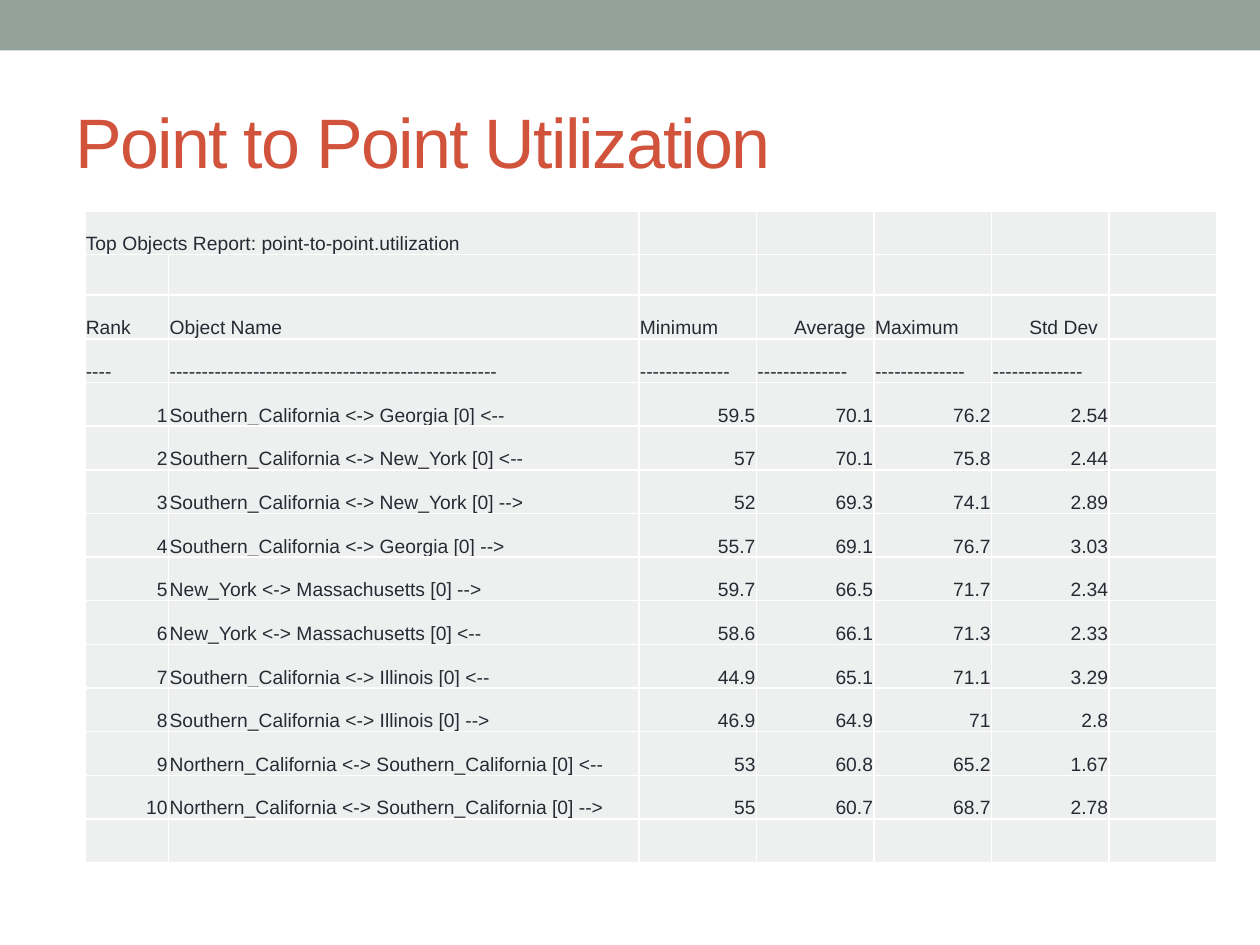
import pptx
import pptx.dml.color
import pptx.enum.shapes
import pptx.enum.text
import pptx.oxml
import pptx.oxml.ns
import pptx.util

Cm, Pt = pptx.util.Cm, pptx.util.Pt
RGBColor = pptx.dml.color.RGBColor
PP_ALIGN = pptx.enum.text.PP_ALIGN
MSO_ANCHOR = pptx.enum.text.MSO_ANCHOR

# Content
TITLE = "Point to Point Utilization"
REPORT_NAME = "Top Objects Report: point-to-point.utilization"
HEADINGS = ["Rank", "Object Name", "Minimum", "Average", "Maximum", "Std Dev"]
RULE_LENGTHS = [4, 51, 14, 14, 14, 14]
LINKS = [
    ("Southern_California <-> Georgia [0] <--", "59.5", "70.1", "76.2", "2.54"),
    ("Southern_California <-> New_York [0] <--", "57", "70.1", "75.8", "2.44"),
    ("Southern_California <-> New_York [0] -->", "52", "69.3", "74.1", "2.89"),
    ("Southern_California <-> Georgia [0] -->", "55.7", "69.1", "76.7", "3.03"),
    ("New_York <-> Massachusetts [0] -->", "59.7", "66.5", "71.7", "2.34"),
    ("New_York <-> Massachusetts [0] <--", "58.6", "66.1", "71.3", "2.33"),
    ("Southern_California <-> Illinois [0] <--", "44.9", "65.1", "71.1", "3.29"),
    ("Southern_California <-> Illinois [0] -->", "46.9", "64.9", "71", "2.8"),
    ("Northern_California <-> Southern_California [0] <--", "53", "60.8", "65.2", "1.67"),
    ("Northern_California <-> Southern_California [0] -->", "55", "60.7", "68.7", "2.78"),
]

# Format
FONT = "Arial"
SAGE = RGBColor(0x93, 0xA2, 0x99)
RED = RGBColor(0xD2, 0x53, 0x3C)
INK = RGBColor(0x29, 0x29, 0x34)
PALE = RGBColor(0xEE, 0xF0, 0xEF)
WHITE = RGBColor(0xFF, 0xFF, 0xFF)
COLUMN_WIDTHS = [1.69, 9.48, 2.37, 2.37, 2.37, 2.37, 2.17]
ROW_HEIGHT, SPACER_HEIGHT = 0.88, 0.82
INDENTED_HEADINGS = ("Average", "Std Dev")


def write(frame, text, size, color, align=PP_ALIGN.LEFT, spacing=None, indent=None):
    paragraph = frame.paragraphs[0]
    paragraph.alignment = align
    if indent is not None:
        paragraph_format = paragraph._p.get_or_add_pPr()
        paragraph_format.set("marL", str(indent))
        paragraph_format.set("indent", "0")
    run = paragraph.add_run()
    run.text = text
    run.font.name = FONT
    run.font.size = Pt(size)
    run.font.color.rgb = color
    if spacing is not None:
        run._r.get_or_add_rPr().set("spc", str(round(spacing * 100)))


def format_cell(cell):
    cell.margin_left = cell.margin_right = cell.margin_top = Cm(0.02)
    cell.margin_bottom = 0
    cell.vertical_anchor = MSO_ANCHOR.BOTTOM
    properties = cell._tc.get_or_add_tcPr()
    for side in ("lnL", "lnR", "lnT", "lnB"):
        properties.append(pptx.oxml.parse_xml(
            f'<a:{side} {pptx.oxml.ns.nsdecls("a")} w="{Pt(1)}"><a:solidFill>'
            f'<a:srgbClr val="{WHITE}"/></a:solidFill></a:{side}>'))
    cell.fill.solid()
    cell.fill.fore_color.rgb = PALE


def add_band(slide, width):
    band = slide.shapes.add_shape(
        pptx.enum.shapes.MSO_SHAPE.RECTANGLE, 0, 0, width, Cm(1.02))
    band.shadow.inherit = False
    band.fill.solid()
    band.fill.fore_color.rgb = SAGE
    band.line.fill.background()


def add_title(slide):
    title = slide.shapes.title
    title.left, title.top, title.width, title.height = Cm(1.27), Cm(1.47), Cm(22.86), Cm(2.74)
    title.text_frame.vertical_anchor = MSO_ANCHOR.MIDDLE
    write(title.text_frame, TITLE, size=40, color=RED, spacing=-1)


def add_report(slide):
    rules = ["-" * length for length in RULE_LENGTHS]
    ranked = [(str(rank), *link) for rank, link in enumerate(LINKS, start=1)]
    rows = [[REPORT_NAME], [], HEADINGS, rules, *ranked, []]
    heights = [ROW_HEIGHT] * len(rows)
    heights[1] = SPACER_HEIGHT

    table = slide.shapes.add_table(
        len(rows), len(COLUMN_WIDTHS), Cm(1.71), Cm(4.25),
        Cm(sum(COLUMN_WIDTHS)), Cm(sum(heights))).table
    table.first_row = table.horz_banding = False
    for column, width in zip(table.columns, COLUMN_WIDTHS):
        column.width = Cm(width)
    for row, height in zip(table.rows, heights):
        row.height = Cm(height)
    for cell in table.iter_cells():
        format_cell(cell)
    table.cell(0, 0).merge(table.cell(0, 1))

    # Ranks and figures align right; headings, rules and names align left
    for row_index, values in enumerate(rows):
        for column_index, text in enumerate(values):
            is_figure = values in ranked and column_index != 1
            write(table.cell(row_index, column_index).text_frame, text, size=11, color=INK,
                  align=PP_ALIGN.RIGHT if is_figure else PP_ALIGN.LEFT,
                  indent=Cm(0.74) if text in INDENTED_HEADINGS else None)


def main():
    presentation = pptx.Presentation()
    presentation.slide_width, presentation.slide_height = Cm(25.4), Cm(19.05)
    slide = presentation.slides.add_slide(presentation.slide_layouts[5])
    add_band(slide, presentation.slide_width)
    add_title(slide)
    add_report(slide)
    presentation.save("out.pptx")


if __name__ == "__main__":
    main()
